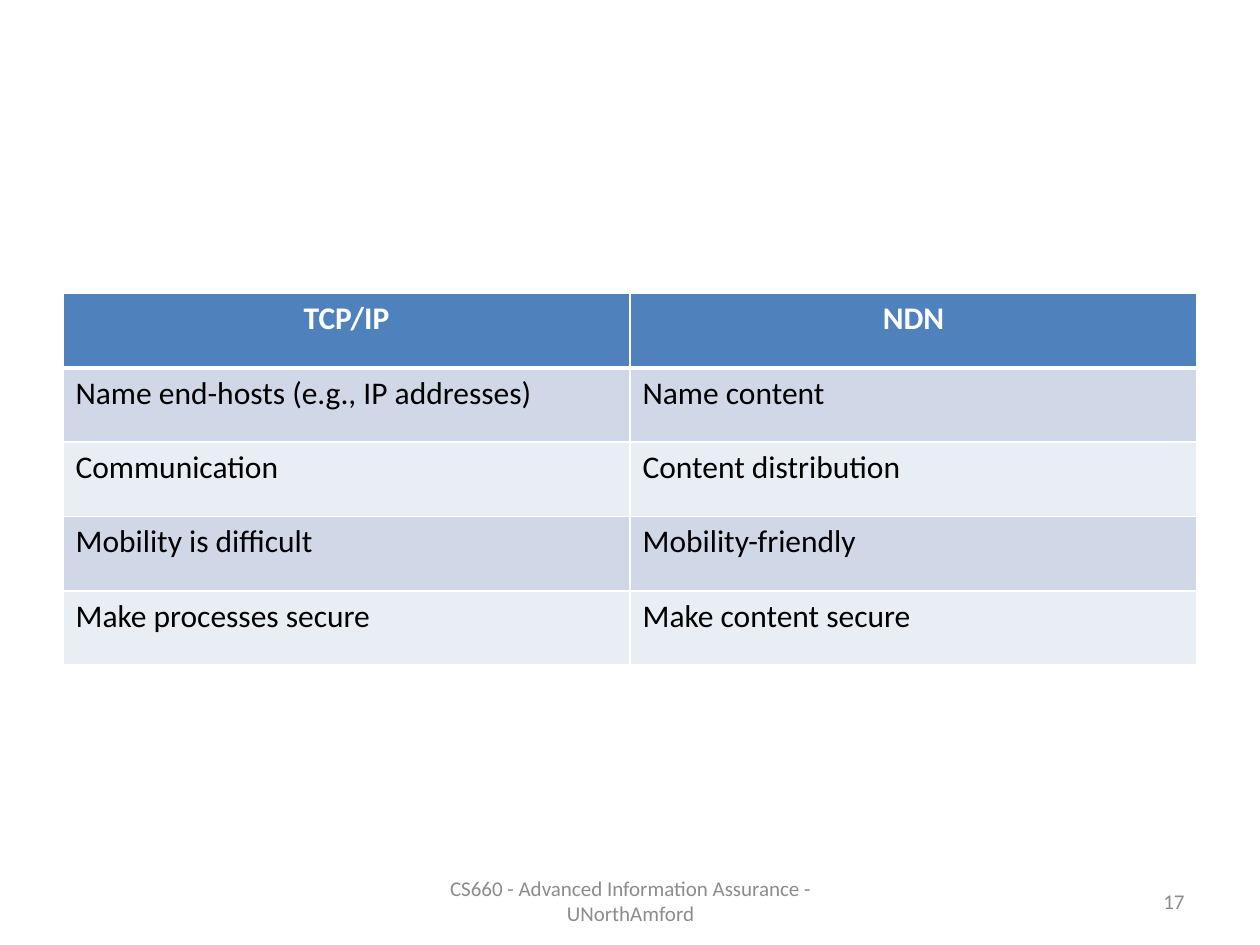
from lxml.etree import SubElement
from pptx import Presentation
from pptx.dml.color import RGBColor
from pptx.enum.text import MSO_ANCHOR as Anchor, PP_ALIGN as Align
from pptx.oxml.ns import qn
from pptx.util import Inches, Pt

FONT = "Calibri"
WHITE = RGBColor(0xFF, 0xFF, 0xFF)
BLACK = RGBColor(0x00, 0x00, 0x00)
GRAY = RGBColor(0x8C, 0x8C, 0x8C)
HEADER_BLUE = RGBColor(0x4F, 0x81, 0xBD)
BANDS = (RGBColor(0xE9, 0xED, 0xF4), RGBColor(0xD0, 0xD8, 0xE8))

MARGIN = 0.5
CONTENT_WIDTH = 9
ROW_HEIGHT = 0.59
FOOTER_TOP, FOOTER_HEIGHT = 6.95, 0.4

COMPARISON = [
    ("TCP/IP", "NDN"),
    ("Name end-hosts (e.g., IP addresses)", "Name content"),
    ("Communication", "Content distribution"),
    ("Mobility is difficult", "Mobility-friendly"),
    ("Make processes secure", "Make content secure"),
]


def write(frame, text, size, color, align, bold=False):
    frame.text = text
    paragraph = frame.paragraphs[0]
    paragraph.alignment = align
    font = paragraph.runs[0].font
    font.name, font.size, font.bold = FONT, Pt(size), bold
    font.color.rgb = color


def add_borders(cell, widths):
    """Draw white cell borders; widths maps a side (L, R, T, B) to points."""
    properties = cell._tc.get_or_add_tcPr()
    for side, width in widths.items():
        line = SubElement(properties, qn(f"a:ln{side}"), w=str(Pt(width)))
        fill = SubElement(line, qn("a:solidFill"))
        SubElement(fill, qn("a:srgbClr"), val=str(WHITE))


def add_comparison(slide, rows, top):
    columns = len(rows[0])
    table = slide.shapes.add_table(
        len(rows), columns, Inches(MARGIN), Inches(top),
        Inches(CONTENT_WIDTH), Inches(ROW_HEIGHT * len(rows))).table
    for r, row in enumerate(rows):
        header = r == 0
        for c, text in enumerate(row):
            cell = table.cell(r, c)
            # The rule under the header is heavier on both sides of the edge
            add_borders(cell, {"L": 1, "R": 1, "T": 3 if r == 1 else 1,
                               "B": 3 if header else 1})
            cell.fill.solid()
            cell.fill.fore_color.rgb = HEADER_BLUE if header else BANDS[r % 2]
            write(cell.text_frame, text, 18, WHITE if header else BLACK,
                  Align.CENTER if header else Align.LEFT, bold=header)


def add_footer(slide, text, left, width, align):
    box = slide.shapes.add_textbox(Inches(left), Inches(FOOTER_TOP),
                                   Inches(width), Inches(FOOTER_HEIGHT))
    frame = box.text_frame
    frame.word_wrap = True
    frame.vertical_anchor = Anchor.MIDDLE
    write(frame, text, 12, GRAY, align)


def main():
    deck = Presentation()
    deck.slide_width, deck.slide_height = Inches(10), Inches(7.5)
    slide = deck.slides.add_slide(deck.slide_layouts[6])

    # Comparison of the two architectures
    add_comparison(slide, COMPARISON, top=2.33)

    # Course name and page number
    add_footer(slide, "CS660 - Advanced Information Assurance - UNorthAmford",
               3.42, 3.17, Align.CENTER)
    add_footer(slide, "17", 7.17, 2.33, Align.RIGHT)

    deck.save("out.pptx")


if __name__ == "__main__":
    main()
